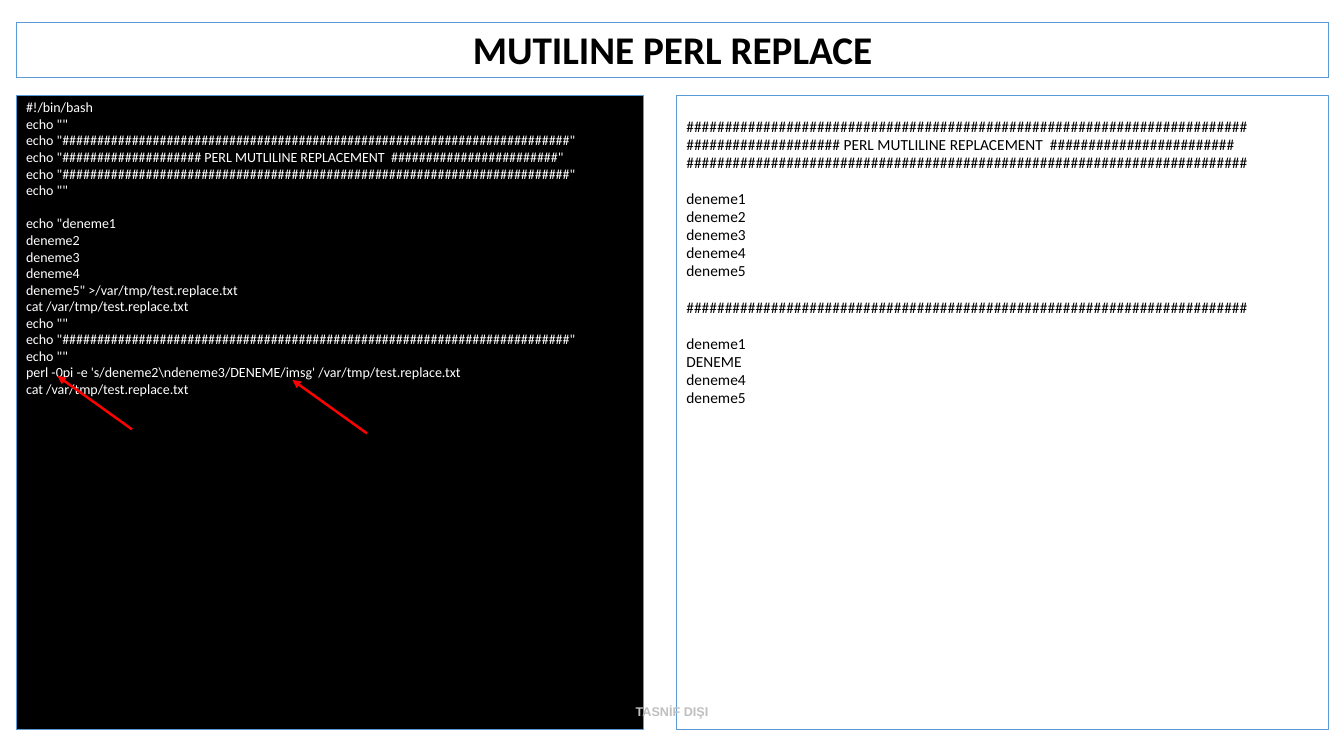
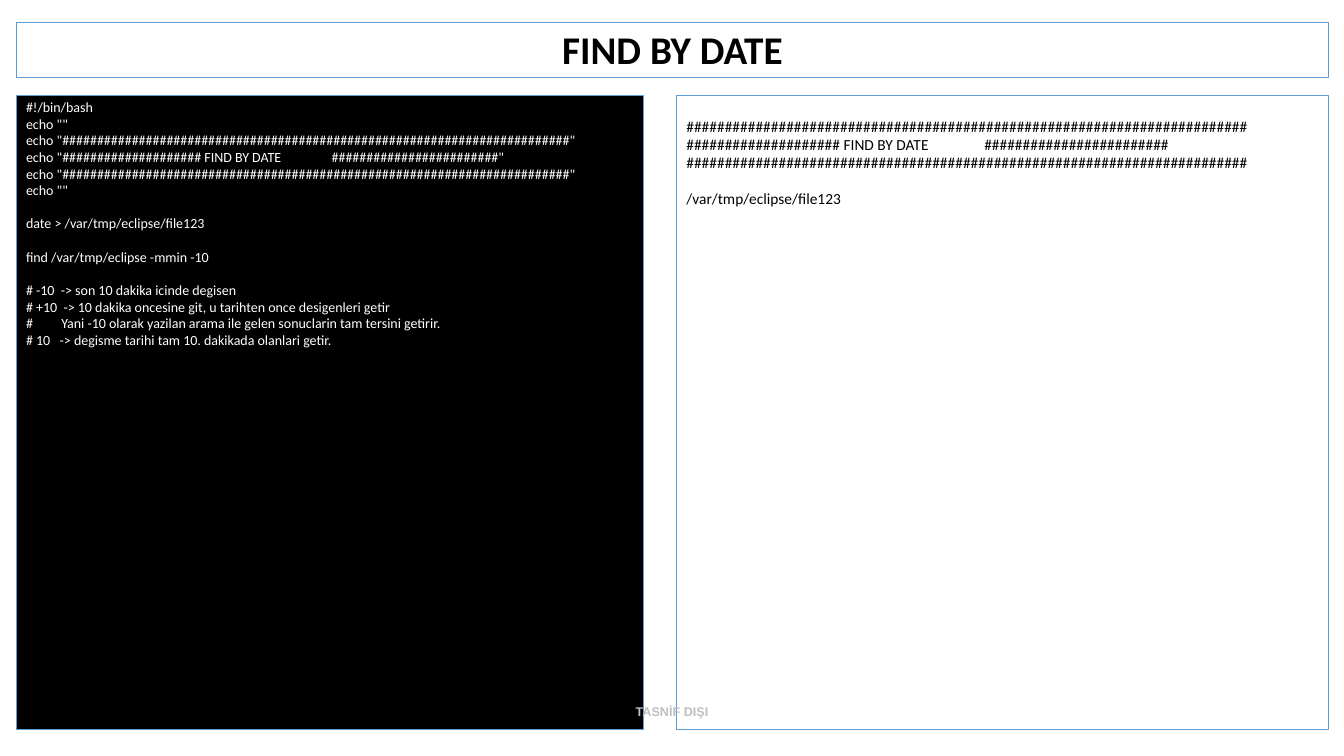
import pptx
import pptx.dml.color
import pptx.enum.shapes
import pptx.enum.text
import pptx.oxml
import pptx.oxml.ns
import pptx.util
from lxml import etree

Inches = pptx.util.Inches
Pt = pptx.util.Pt
RGBColor = pptx.dml.color.RGBColor
ALIGN = pptx.enum.text.PP_ALIGN
ANCHOR = pptx.enum.text.MSO_ANCHOR

BLACK = RGBColor(0x00, 0x00, 0x00)
WHITE = RGBColor(0xFF, 0xFF, 0xFF)
BORDER_BLUE = RGBColor(0x5B, 0x9B, 0xD5)
ARROW_RED = RGBColor(0xFF, 0x00, 0x00)
FOOTER_GREY = RGBColor(0xBF, 0xBF, 0xBF)

RULE = "#" * 73
ECHO_RULE = f'echo "{RULE}"'
ECHO_BLANK = 'echo ""'
SCRIPT_SIZE = 10
OUTPUT_SIZE = 11


def banner(heading):
    """Return the three lines of a heading framed by hash signs."""
    return [RULE, f"{'#' * 20} {heading:<28}{'#' * 24}", RULE]


def script_header(heading):
    """Return the opening lines of a script that echoes its banner."""
    echoes = [f'echo "{line}"' for line in banner(heading)]
    return ["#!/bin/bash", ECHO_BLANK, *echoes, ECHO_BLANK]


def line_pitch(size):
    """Return the points from one line of a panel to the next."""
    return round(size * 1.22 * 0.9 + 1, 2)


def write_text(frame, sections, size, color, font="Calibri", bold=False,
               align=ALIGN.LEFT, anchor=ANCHOR.TOP, line_spacing=0.9,
               space_before=0, section_gap=0):
    """Fill a text frame with sections of lines, spaced apart by a gap."""
    frame.word_wrap = True
    frame.auto_size = pptx.enum.text.MSO_AUTO_SIZE.NONE
    frame.vertical_anchor = anchor
    paragraph = None
    for section in sections:
        for index, line in enumerate(section):
            if paragraph is None:
                paragraph = frame.paragraphs[0]
                before = 0
            else:
                paragraph = frame.add_paragraph()
                before = space_before + (section_gap if index == 0 else 0)
            paragraph.alignment = align
            paragraph.line_spacing = line_spacing
            paragraph.space_before = Pt(before)
            run = paragraph.add_run()
            run.text = line
            run.font.name = font
            run.font.size = Pt(size)
            run.font.bold = bold
            run.font.color.rgb = color


class Deck:
    """Hold the shared style and the slide being built."""

    left, right = 0.16, 13.18
    panel_top, panel_height = 0.95, 6.29

    def __init__(self):
        """Start a widescreen presentation."""
        self.presentation = pptx.Presentation()
        self.presentation.slide_width = Inches(13.33)
        self.presentation.slide_height = Inches(7.5)
        self.slide = None

    def add_slide(self, title):
        """Add a slide with its framed title."""
        layout = self.presentation.slide_layouts[5]
        self.slide = self.presentation.slides.add_slide(layout)
        shape = self.slide.shapes.title
        shape.left, shape.top = Inches(self.left), Inches(0.22)
        shape.width, shape.height = Inches(self.right - self.left), Inches(0.55)
        self.frame_shape(shape)
        write_text(shape.text_frame, [[title]], size=28, color=BLACK, bold=True,
                   align=ALIGN.CENTER, anchor=ANCHOR.BOTTOM)

    def frame_shape(self, shape, fill=None):
        """Give a shape the thin blue border and an optional fill."""
        if fill is None:
            shape.fill.background()
        else:
            shape.fill.solid()
            shape.fill.fore_color.rgb = fill
        shape.line.color.rgb = BORDER_BLUE
        shape.line.width = Pt(0)

    def panel(self, left, width, sections, size, color, fill=None, inset_top=0.05):
        """Add a framed panel of code or output lines."""
        shape = self.slide.shapes.add_shape(
            pptx.enum.shapes.MSO_SHAPE.RECTANGLE, Inches(left),
            Inches(self.panel_top), Inches(width), Inches(self.panel_height))
        shape.shadow.inherit = False
        self.frame_shape(shape, fill)
        shape.text_frame.margin_top = Inches(inset_top)
        write_text(shape.text_frame, sections, size=size, color=color,
                   space_before=1, section_gap=line_pitch(size))

    def script(self, sections):
        """Add the black script panel on the left."""
        self.panel(self.left, 6.22, sections, SCRIPT_SIZE, WHITE, fill=BLACK)

    def output(self, sections):
        """Add the output panel on the right, one line below its top."""
        self.panel(6.71, 6.47, sections, OUTPUT_SIZE, BLACK,
                   inset_top=round(0.05 + line_pitch(OUTPUT_SIZE) / 72, 2))

    def arrow(self, tip_left, tip_top):
        """Add a red arrow that points up and left to its tip."""
        connector = self.slide.shapes.add_connector(
            pptx.enum.shapes.MSO_CONNECTOR.STRAIGHT,
            Inches(tip_left + 0.74), Inches(tip_top + 0.53),
            Inches(tip_left), Inches(tip_top))
        connector.line.color.rgb = ARROW_RED
        connector.line.width = Pt(1.75)
        qualified = pptx.oxml.ns.qn
        line = connector.line._get_or_add_ln()
        etree.SubElement(line, qualified("a:tailEnd"), type="triangle")
        etree.SubElement(connector._element.spPr, qualified("a:effectLst"))

    def footer(self):
        """Add the classification mark at the foot of the slide."""
        box = self.slide.shapes.add_textbox(
            Inches(0), Inches(6.93), Inches(13.33), Inches(0.25))
        write_text(box.text_frame, [["TASNİF DIŞI"]], size=9, color=FOOTER_GREY,
                   font="Arial", bold=True, align=ALIGN.CENTER,
                   anchor=ANCHOR.MIDDLE, line_spacing=1.0)


def build_replace_slide(deck):
    """Build the slide on replacing text across lines."""
    heading = "PERL MUTLILINE REPLACEMENT"
    show_file = "cat /var/tmp/test.replace.txt"
    deck.add_slide("MUTILINE PERL REPLACE")
    deck.script([
        script_header(heading),
        ['echo "deneme1', "deneme2", "deneme3", "deneme4",
         'deneme5" >/var/tmp/test.replace.txt', show_file,
         ECHO_BLANK, ECHO_RULE, ECHO_BLANK,
         r"perl -0pi -e 's/deneme2\ndeneme3/DENEME/imsg' /var/tmp/test.replace.txt",
         show_file],
    ])
    deck.output([
        banner(heading),
        ["deneme1", "deneme2", "deneme3", "deneme4", "deneme5"],
        [RULE],
        ["deneme1", "DENEME", "deneme4", "deneme5"],
    ])
    deck.arrow(0.57, 3.73)
    deck.arrow(2.9, 3.77)
    deck.footer()


def build_find_slide(deck):
    """Build the slide on finding files by date."""
    heading = "FIND BY DATE"
    deck.add_slide(heading)
    deck.script([
        script_header(heading),
        ["date > /var/tmp/eclipse/file123"],
        ["find /var/tmp/eclipse -mmin -10"],
        ["# -10  -> son 10 dakika icinde degisen",
         "# +10  -> 10 dakika oncesine git, u tarihten once desigenleri getir",
         "#         Yani -10 olarak yazilan arama ile gelen sonuclarin tam tersini getirir.",
         "# 10   -> degisme tarihi tam 10. dakikada olanlari getir."],
    ])
    deck.output([banner(heading), ["/var/tmp/eclipse/file123"]])
    deck.footer()


def main():
    """Build both slides and save the presentation."""
    deck = Deck()
    build_replace_slide(deck)
    build_find_slide(deck)
    deck.presentation.save("out.pptx")


if __name__ == "__main__":
    main()
